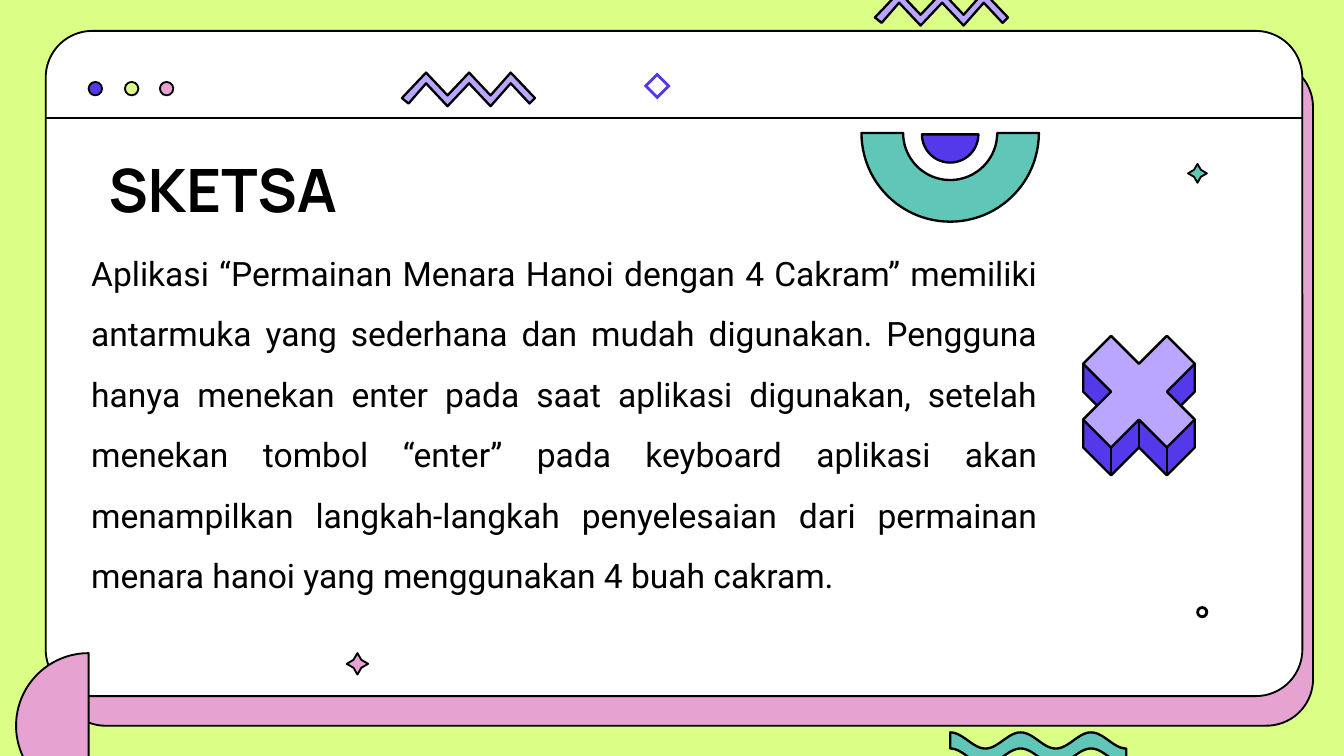
from dataclasses import dataclass
from math import cos, pi, sin

from lxml.etree import SubElement
from pptx import Presentation
from pptx.dml.color import RGBColor
from pptx.enum.shapes import MSO_CONNECTOR, MSO_SHAPE
from pptx.enum.text import MSO_ANCHOR, PP_ALIGN
from pptx.oxml.ns import qn
from pptx.util import Inches, Pt

Point = tuple[float, float]

COLORS = {
    "lime": "DBFE87",
    "pink": "E6A2D0",
    "white": "FFFFFF",
    "black": "000000",
    "lavender": "BAA5FF",
    "teal": "60C7B8",
    "violet": "5339EA",
}
SLIDE_WIDTH = 10
ZIGZAG = [
    (0.66, 0.25), (0.5, 0.08), (0.34, 0.25), (0.18, 0.08), (0.05, 0.23),
    (0, 0.19), (0.18, 0), (0.34, 0.17), (0.5, 0), (0.66, 0.17),
    (0.81, 0), (0.99, 0.19), (0.95, 0.23), (0.81, 0.08),
]
CROSS_FACE = [
    (3, 0), (4, 1), (3, 2), (4, 3), (3, 4), (2, 3),
    (1, 4), (0, 3), (1, 2), (0, 1), (1, 0), (2, 1),
]
CROSS_BODY = [
    (4, 1), (4, 2), (3.5, 2.5), (4, 3), (4, 4), (3, 5), (2, 4), (1, 5),
    (0, 4), (0, 3), (0.5, 2.5), (0, 2), (0, 1), (1, 0), (2, 1), (3, 0),
]
CROSS_EDGES = [(1, 4), (2, 3), (3, 4)]
DIAMOND = [(0, -1), (1, 0), (0, 1), (-1, 0)]


@dataclass
class Preset:
    kind: MSO_SHAPE
    left: float
    top: float
    width: float
    height: float
    fill: str
    line: float = 1
    adjust: float | None = None


@dataclass
class Caption:
    left: float
    top: float
    width: float
    height: float
    words: str
    font: dict
    paragraph: dict
    anchor: MSO_ANCHOR


def paint(shape, fill: str, line: float) -> None:
    shape.shadow.inherit = False
    shape.fill.solid()
    shape.fill.fore_color.rgb = RGBColor.from_string(COLORS[fill])
    if line:
        shape.line.color.rgb = RGBColor.from_string(COLORS["black"])
        shape.line.width = Pt(line)
    else:
        shape.line.fill.background()


def draw_preset(slide, part: Preset) -> None:
    shape = slide.shapes.add_shape(
        part.kind, Inches(part.left), Inches(part.top),
        Inches(part.width), Inches(part.height))
    if part.adjust is not None:
        shape.adjustments[0] = part.adjust
    paint(shape, part.fill, part.line)


def draw_outline(slide, contours: list[list[Point]], fill: str, line: float = 1.25) -> None:
    paths = [[(Inches(x), Inches(y)) for x, y in contour] for contour in contours]
    builder = slide.shapes.build_freeform(*paths[0][0])
    builder.add_line_segments(paths[0][1:], close=True)
    for hole in paths[1:]:
        builder.move_to(*hole[0])
        builder.add_line_segments(hole[1:], close=True)
    paint(builder.convert_to_shape(), fill, line)


def draw_line(slide, start: Point, end: Point, width: float) -> None:
    connector = slide.shapes.add_connector(
        MSO_CONNECTOR.STRAIGHT, *map(Inches, start), *map(Inches, end))
    connector.line.color.rgb = RGBColor.from_string(COLORS["black"])
    connector.line.width = Pt(width)
    SubElement(connector._element.spPr, qn("a:effectLst"))


def draw_caption(slide, caption: Caption) -> None:
    box = slide.shapes.add_textbox(
        Inches(caption.left), Inches(caption.top),
        Inches(caption.width), Inches(caption.height))
    box.text_frame.word_wrap = True
    box.text_frame.vertical_anchor = caption.anchor
    paragraph = box.text_frame.paragraphs[0]
    run = paragraph.add_run()
    run.text = caption.words
    run.font.color.rgb = RGBColor.from_string(COLORS["black"])
    for target, values in ((paragraph, caption.paragraph), (run.font, caption.font)):
        for name, value in values.items():
            setattr(target, name, value)


def place(points: list[Point], left: float, top: float, scale: float = 1) -> list[Point]:
    return [(left + scale * x, top + scale * y) for x, y in points]


def half_circle(x: float, y: float, radius: float, start: float = 0) -> list[Point]:
    steps = 48
    angles = [start + pi * step / steps for step in range(steps + 1)]
    return [(x + radius * cos(a), y + radius * sin(a)) for a in angles]


def wave(left: float, middle: float, width: float, thickness: float) -> list[Point]:
    steps = 80
    crest = [
        (left + width * step / steps, middle - 0.06 * cos(5 * pi * step / steps))
        for step in range(steps + 1)
    ]
    return crest + [(x, y + thickness) for x, y in reversed(crest)]


def draw_cross(slide, left: float, top: float, unit: float) -> None:
    draw_outline(slide, [place(CROSS_BODY, left, top, unit)], "violet")
    draw_outline(slide, [place(CROSS_FACE, left, top, unit)], "lavender")
    for x, y in CROSS_EDGES:
        start, end = place([(x, y), (x, y + 1)], left, top, unit)
        draw_line(slide, start, end, 1.25)


def main() -> None:
    presentation = Presentation()
    presentation.slide_width = Inches(SLIDE_WIDTH)
    presentation.slide_height = Inches(SLIDE_WIDTH * 9 / 16)
    slide = presentation.slides.add_slide(presentation.slide_layouts[6])
    slide.background.fill.solid()
    slide.background.fill.fore_color.rgb = RGBColor.from_string(COLORS["lime"])

    for window in (
        Preset(MSO_SHAPE.ROUNDED_RECTANGLE, 0.44, 0.45, 9.33, 4.95, "pink", adjust=0.07),
        Preset(MSO_SHAPE.ROUNDED_RECTANGLE, 0.34, 0.23, 9.35, 4.95, "white", adjust=0.07),
    ):
        draw_preset(slide, window)
    draw_line(slide, (0.34, 0.88), (9.69, 0.88), 1)

    for caption in (
        Caption(
            0.58, 1.68, 7.24, 3.34,
            "Aplikasi “Permainan Menara Hanoi dengan 4 Cakram” memiliki antarmuka yang "
            "sederhana dan mudah digunakan. Pengguna hanya menekan enter pada saat aplikasi "
            "digunakan, setelah menekan tombol “enter” pada keyboard aplikasi akan "
            "menampilkan langkah-langkah penyelesaian dari permainan menara hanoi yang "
            "menggunakan 4 buah cakram.",
            {"name": "Roboto", "size": Pt(18)},
            {"alignment": PP_ALIGN.JUSTIFY, "line_spacing": 1.5, "space_before": Pt(7.5)},
            MSO_ANCHOR.TOP),
        Caption(
            0.71, 1.04, 5.04, 0.79, "SKETSA",
            {"name": "Manrope", "size": Pt(32), "bold": True},
            {"line_spacing": 0.9, "space_before": Pt(7.5)},
            MSO_ANCHOR.MIDDLE),
    ):
        draw_caption(slide, caption)

    for left, top in ((6.51, -0.06), (2.99, 0.54)):
        draw_outline(slide, [place(ZIGZAG, left, top)], "lavender")

    rainbow = half_circle(7.07, 0.99, 0.66) + half_circle(7.07, 0.99, 0.35)[::-1]
    draw_outline(slide, [rainbow], "teal")
    draw_outline(slide, [half_circle(7.07, 1, 0.21)], "violet")
    draw_outline(slide, [half_circle(0.66, 5.4, 0.54, pi / 2)], "pink", 1)
    draw_outline(slide, [wave(7.07, 5.51, 1.31, 0.12)], "teal")
    diamond = [place(DIAMOND, 4.89, 0.64, radius) for radius in (0.1, 0.07)]
    draw_outline(slide, diamond, "violet", 0)
    draw_cross(slide, 8.06, 2.5, 0.83 / 4)

    for ornament in (
        Preset(MSO_SHAPE.STAR_4_POINT, 2.58, 4.86, 0.16, 0.16, "pink", adjust=0.26),
        Preset(MSO_SHAPE.STAR_4_POINT, 8.84, 1.22, 0.14, 0.14, "teal", adjust=0.26),
        Preset(MSO_SHAPE.DONUT, 8.9, 4.51, 0.09, 0.09, "black", line=0, adjust=0.24),
    ):
        draw_preset(slide, ornament)

    for left, color in ((0.66, "violet"), (0.93, "lime"), (1.19, "pink")):
        draw_preset(slide, Preset(MSO_SHAPE.OVAL, left, 0.61, 0.1, 0.1, color))

    presentation.save("out.pptx")


if __name__ == "__main__":
    main()
